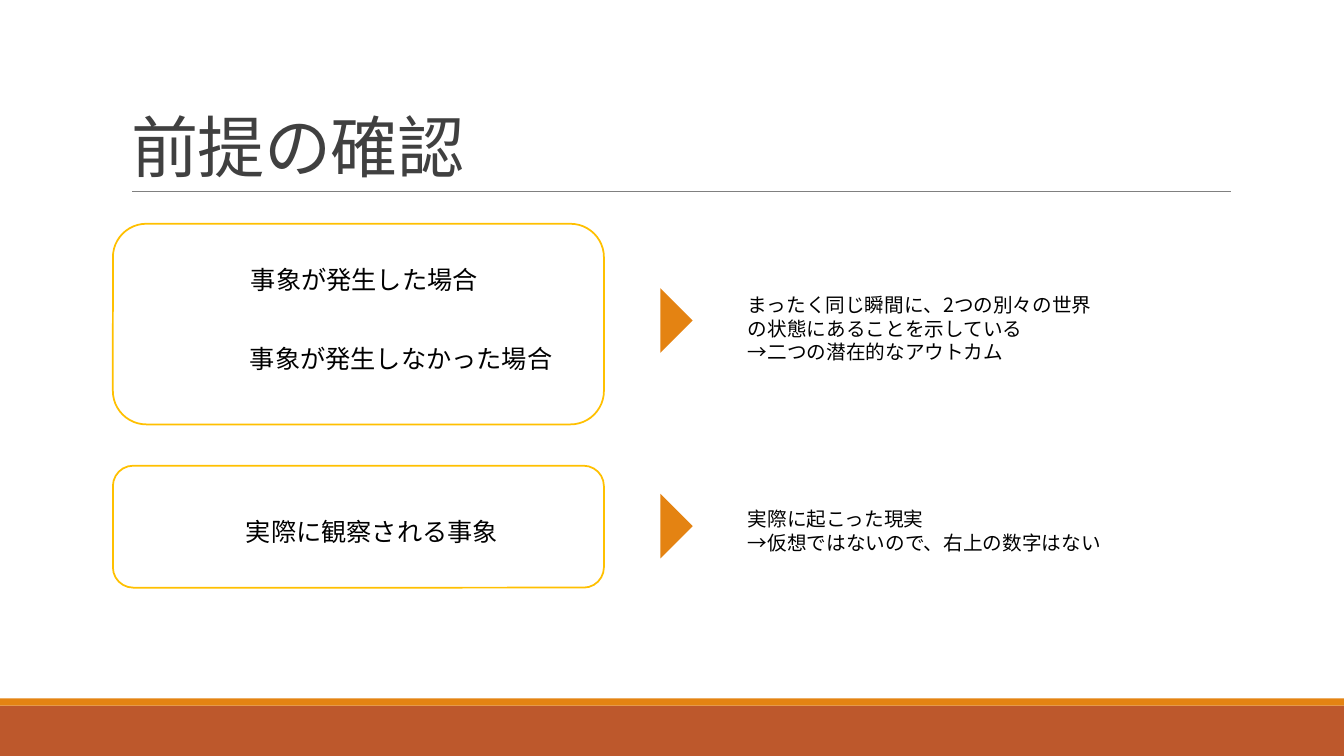
from pptx import Presentation
from pptx.dml.color import RGBColor
from pptx.enum.shapes import MSO_CONNECTOR, MSO_SHAPE
from pptx.enum.text import MSO_ANCHOR, MSO_AUTO_SIZE, PP_ALIGN
from pptx.oxml.ns import qn
from pptx.util import Inches, Pt
from lxml.etree import SubElement

COLORS = {
    "footer": "BD582C",
    "accent": "E48312",
    "rule": "808080",
    "frame": "FFC000",
    "title": "404040",
    "text": "000000",
}
LATIN_FONT = "Calibri"
JAPANESE_FONT = "Noto Sans CJK JP"


def color(name):
    return RGBColor.from_string(COLORS[name])


def add_text(para, text, size=18, fill="text", font=LATIN_FONT, spacing=None):
    span = para.add_run()
    span.text = text
    span.font.size = Pt(size)
    span.font.name = font
    span.font.color.rgb = color(fill)
    properties = span.font._element
    SubElement(properties, qn("a:ea")).set("typeface", JAPANESE_FONT)
    if spacing is not None:
        properties.set("spc", str(int(spacing * 100)))


class SlideBuilder:
    def __init__(self, deck):
        self.page = deck.slides.add_slide(deck.slide_layouts[5])
        self.shapes = self.page.shapes

    def shape(self, kind, area, fill=None, line=None, rotation=0):
        shape = self.shapes.add_shape(kind, *map(Inches, area))
        shape.shadow.inherit = False
        shape.rotation = rotation
        if fill:
            shape.fill.solid()
            shape.fill.fore_color.rgb = color(fill)
        else:
            shape.fill.background()
        if line:
            shape.line.color.rgb = color(line)
            shape.line.width = Pt(1.25)
        else:
            shape.line.fill.background()

    def rule(self, left, right, top):
        line = self.shapes.add_connector(
            MSO_CONNECTOR.STRAIGHT, Inches(left), Inches(top), Inches(right), Inches(top))
        line.line.color.rgb = color("rule")
        line.line.width = Pt(0.5)
        SubElement(line._element.spPr, qn("a:effectLst"))

    def title(self, text, area):
        box = self.shapes.title
        box.left, box.top, box.width, box.height = map(Inches, area)
        frame = box.text_frame
        frame.auto_size = MSO_AUTO_SIZE.NONE
        frame.vertical_anchor = MSO_ANCHOR.BOTTOM
        para = frame.paragraphs[0]
        para.alignment = PP_ALIGN.LEFT
        para.line_spacing = 0.85
        add_text(para, text, size=48, fill="title", spacing=-0.5)

    def text(self, lines, area, size=18):
        frame = self.shapes.add_textbox(*map(Inches, area)).text_frame
        frame.word_wrap = True
        frame.auto_size = MSO_AUTO_SIZE.SHAPE_TO_FIT_TEXT
        for index, pieces in enumerate(lines):
            para = frame.add_paragraph() if index else frame.paragraphs[0]
            for piece in pieces:
                font = JAPANESE_FONT if piece.isdigit() else LATIN_FONT
                add_text(para, piece, size=size, font=font)


def main():
    deck = Presentation()
    deck.slide_width, deck.slide_height = Inches(13.33), Inches(7.5)
    slide = SlideBuilder(deck)

    slide.shape(MSO_SHAPE.RECTANGLE, (0, 7, 13.33, 0.5), fill="footer")
    slide.shape(MSO_SHAPE.RECTANGLE, (0, 6.93, 13.33, 0.07), fill="accent")
    slide.rule(1.31, 12.21, 1.9)
    slide.title("前提の確認", (1.2, 0.31, 11, 1.59))

    for frame_top, frame_height, arrow_top in ((2.22, 1.99, 3.02), (4.62, 1.21, 5.06)):
        slide.shape(MSO_SHAPE.ROUNDED_RECTANGLE, (1.12, frame_top, 4.87, frame_height), line="frame")
        slide.shape(MSO_SHAPE.ISOSCELES_TRIANGLE, (6.39, arrow_top, 0.64, 0.32),
                    fill="accent", rotation=90)

    for event, left, top, width in (
        ("事象が発生した場合", 2.39, 2.57, 3),
        ("事象が発生しなかった場合", 2.38, 3.36, 3.46),
        ("実際に観察される事象", 2.34, 5.07, 3.46),
    ):
        slide.text([[event]], (left, top, width, 0.4))

    slide.text([["まったく同じ瞬間に、", "2", "つの別々の世界の状態にあることを示している"],
                ["→二つの潜在的なアウトカム"]], (7.32, 2.86, 3.74, 0.81), size=14)
    slide.text([["実際に起こった現実"], ["→仮想ではないので、右上の数字はない"]],
               (7.32, 4.98, 4.56, 0.57), size=14)

    deck.save("out.pptx")


if __name__ == "__main__":
    main()
